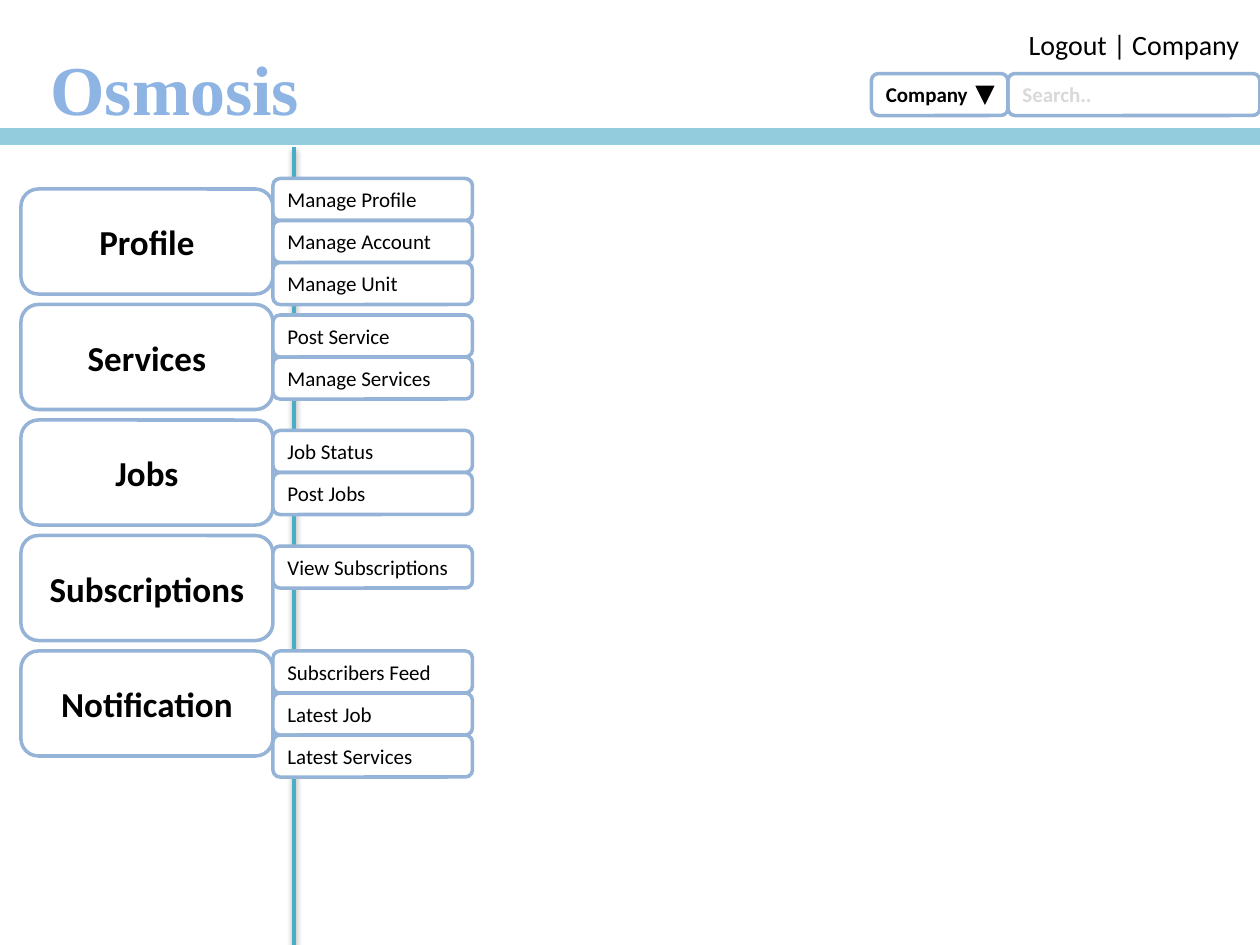
from dataclasses import dataclass
from typing import Any

import lxml.etree
import pptx
import pptx.dml.color
import pptx.enum.shapes
import pptx.enum.text
import pptx.oxml.ns
import pptx.util

Pt = pptx.util.Pt
PresetShape = pptx.enum.shapes.MSO_SHAPE
Align = pptx.enum.text.PP_ALIGN
Anchor = pptx.enum.text.MSO_ANCHOR
AutoSize = pptx.enum.text.MSO_AUTO_SIZE

BLACK, WHITE, BORDER = "000000", "FFFFFF", "95B3D7"
BOX_LINE = 2
ITEM_HEIGHT = 24
MENU_TOP, MENU_PITCH = 108, 66


@dataclass
class Place:
    left: float
    top: float
    width: float
    height: float

    def lengths(self) -> list[Any]:
        return [Pt(v) for v in (self.left, self.top, self.width, self.height)]


@dataclass
class Style:
    size: float
    bold: bool = False
    color: str = BLACK
    align: Any = Align.LEFT
    font: str = "Calibri"


@dataclass
class Section:
    name: str
    items_top: float
    items: tuple[str, ...]


MENU_STYLE = Style(20, bold=True, align=Align.CENTER)
ITEM_STYLE = Style(12)

SECTIONS = (
    Section("Profile", 102, ("Manage Profile", "Manage Account", "Manage Unit")),
    Section("Services", 180, ("Post Service", "Manage Services")),
    Section("Jobs", 246, ("Job Status", "Post Jobs")),
    Section("Subscriptions", 312, ("View Subscriptions",)),
    Section("Notification", 372, ("Subscribers Feed", "Latest Job", "Latest Services")),
)


def rgb(value: str) -> pptx.dml.color.RGBColor:
    return pptx.dml.color.RGBColor.from_string(value)


def apply(target: Any, values: dict[str, Any]) -> None:
    for key, value in values.items():
        setattr(target, key, value)


def write(holder: Any, words: str, style: Style, frame_format: dict[str, Any]) -> None:
    frame = holder.text_frame
    apply(frame, frame_format)
    paragraph = frame.paragraphs[0]
    paragraph.alignment = style.align
    run = paragraph.add_run()
    run.text = words
    apply(run.font, {"name": style.font, "size": Pt(style.size), "bold": style.bold})
    run.font.color.rgb = rgb(style.color)


def draw_shape(slide: Any, kind: Any, place: Place, fill: str, border: str) -> Any:
    shape = slide.shapes.add_shape(kind, *place.lengths())
    shape.shadow.inherit = False
    shape.fill.solid()
    shape.fill.fore_color.rgb = rgb(fill)
    shape.line.color.rgb = rgb(border)
    shape.line.width = Pt(BOX_LINE)
    return shape


def draw_box(slide: Any, words: str, place: Place, style: Style) -> None:
    box = draw_shape(slide, PresetShape.ROUNDED_RECTANGLE, place, WHITE, BORDER)
    write(box, words, style, {"word_wrap": True, "vertical_anchor": Anchor.MIDDLE})


def draw_rule(slide: Any, start: tuple[float, float], end: tuple[float, float],
              color: str, width: float) -> Any:
    rule = slide.shapes.add_connector(
        pptx.enum.shapes.MSO_CONNECTOR.STRAIGHT, *[Pt(v) for v in start + end])
    rule.line.color.rgb = rgb(color)
    rule.line.width = Pt(width)
    properties = rule._element.spPr
    return lxml.etree.SubElement(properties, pptx.oxml.ns.qn("a:effectLst"))


def add_shadow(effects: Any) -> None:
    qn = pptx.oxml.ns.qn
    shadow = lxml.etree.SubElement(
        effects, qn("a:outerShdw"), blurRad="40000", dist="20000",
        dir="5400000", rotWithShape="0")
    color = lxml.etree.SubElement(shadow, qn("a:srgbClr"), val=BLACK)
    lxml.etree.SubElement(color, qn("a:alpha"), val="38000")


def draw_header(slide: Any) -> None:
    title = slide.shapes.title
    apply(title, dict(zip(("left", "top", "width", "height"),
                          Place(21.6, 22.3, 158.4, 55.7).lengths())))
    write(title, "Osmosis",
          Style(40, bold=True, color="8EB4E3", font="Times New Roman"),
          {"word_wrap": False, "vertical_anchor": Anchor.TOP,
           "auto_size": AutoSize.SHAPE_TO_FIT_TEXT})
    draw_rule(slide, (0, 78), (720, 78), "93CDDD", 10)
    account = slide.shapes.add_textbox(*Place(558, 12, 180, 26.64).lengths())
    write(account, "Logout | Company", Style(16, align=Align.CENTER),
          {"word_wrap": True, "auto_size": AutoSize.SHAPE_TO_FIT_TEXT})


def draw_search(slide: Any) -> None:
    draw_box(slide, "Search..", Place(576, 42, 144, ITEM_HEIGHT),
             Style(12, bold=True, color="D9D9D9"))
    draw_box(slide, "Company", Place(498, 42, 78, ITEM_HEIGHT), Style(12, bold=True))
    arrow = draw_shape(slide, PresetShape.ISOSCELES_TRIANGLE,
                       Place(555.6, 48, 14.4, 14.4), BLACK, WHITE)
    arrow.rotation = 180


def draw_menu(slide: Any) -> None:
    for row, section in enumerate(SECTIONS):
        draw_box(slide, section.name,
                 Place(12, MENU_TOP + row * MENU_PITCH, 144, 60), MENU_STYLE)
    add_shadow(draw_rule(slide, (168, 540), (168, 84), "4BACC6", 2))
    for section in SECTIONS:
        for row, item in enumerate(section.items):
            top = section.items_top + row * ITEM_HEIGHT
            draw_box(slide, item, Place(156, top, 114, ITEM_HEIGHT), ITEM_STYLE)


def main() -> None:
    deck = pptx.Presentation()
    apply(deck, {"slide_width": Pt(720), "slide_height": Pt(540)})
    slide = deck.slides.add_slide(deck.slide_layouts[5])
    draw_header(slide)
    draw_menu(slide)
    draw_search(slide)
    deck.save("out.pptx")


if __name__ == "__main__":
    main()
